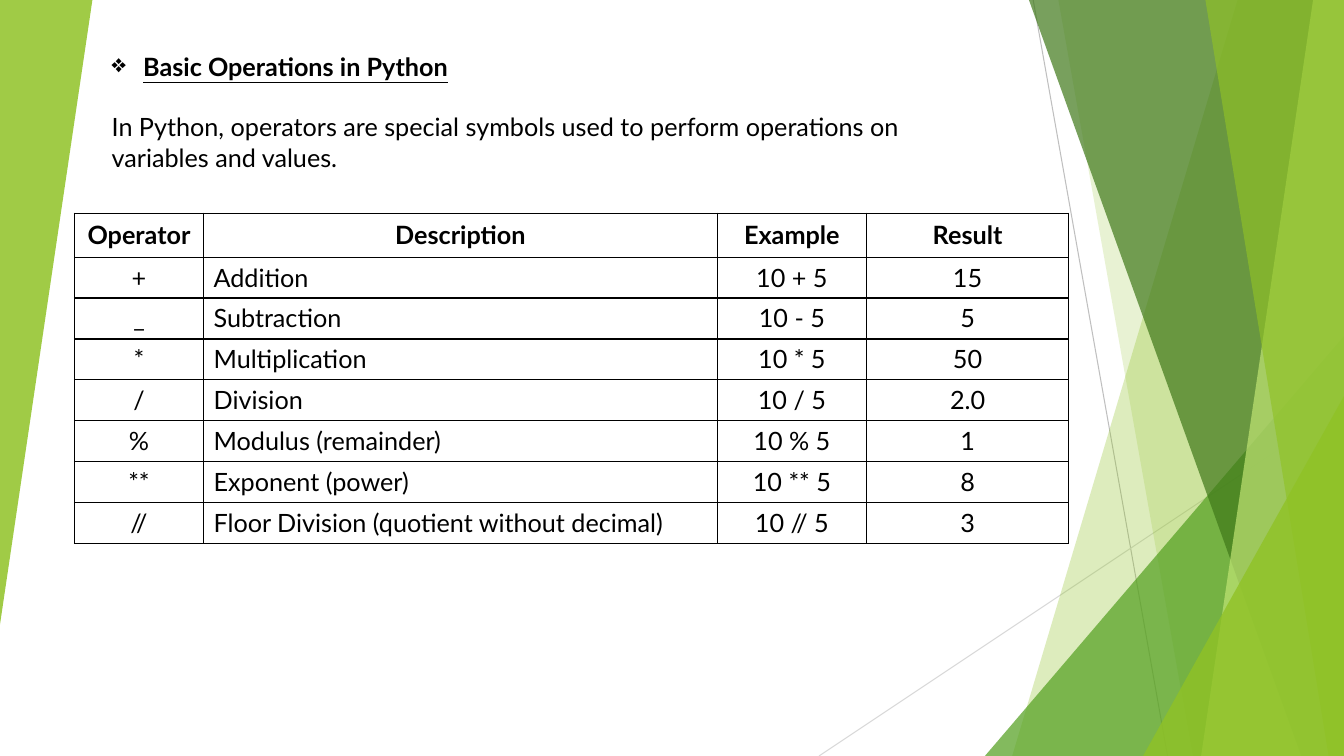
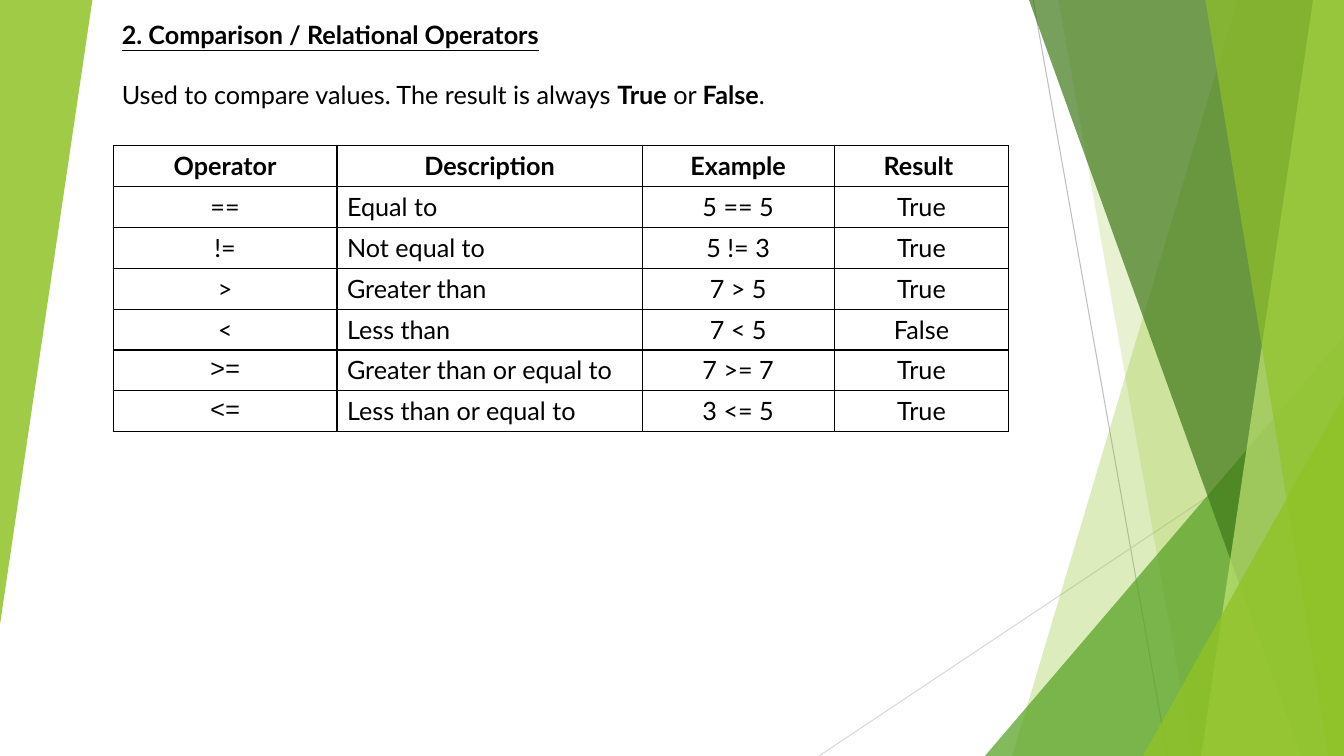
from dataclasses import dataclass

from lxml.etree import SubElement
from pptx import Presentation
from pptx.dml.color import RGBColor
from pptx.enum.shapes import MSO_CONNECTOR, MSO_SHAPE
from pptx.enum.text import MSO_ANCHOR, PP_ALIGN
from pptx.oxml.ns import qn
from pptx.util import Pt


@dataclass(frozen=True)
class Theme:
    wide: float = 960
    high: float = 540
    ink: str = "000000"
    paper: str = "FFFFFF"
    lime: str = "90C226"
    green: str = "54A021"
    forest: str = "3F7819"
    pale: str = "C0E474"
    grey: str = "BFBFBF"
    light: str = "D9D9D9"
    font: str = "Lato"
    mono: str = "Courier New"
    size: float = 18
    gap: float = 21.6
    indent: float = 22.5
    row: float = 29.2
    rule: float = 1
    hair: float = 0.75


class Deck:
    """Holds the theme and the slide being built."""

    def __init__(self, theme):
        self.theme = theme
        self.file = Presentation()
        self.file.slide_width = Pt(theme.wide)
        self.file.slide_height = Pt(theme.high)
        self.slide = None

    def new(self):
        self.slide = self.file.slides.add_slide(self.file.slide_layouts[6])
        self.facets()

    def line(self, start, end, color):
        line = self.slide.shapes.add_connector(
            MSO_CONNECTOR.STRAIGHT, *map(Pt, start + end))
        line.line.color.rgb = RGBColor.from_string(color)
        line.line.width = Pt(self.theme.hair)
        SubElement(line._element.spPr, qn("a:effectLst"))

    def paint(self, shape, color, alpha):
        """Fill with a colour at alpha percent, without outline or shadow."""
        shape.shadow.inherit = False
        shape.line.fill.background()
        shape.fill.solid()
        shape.fill.fore_color.rgb = RGBColor.from_string(color)
        tone = shape._element.spPr.find(qn("a:solidFill"))[0]
        SubElement(tone, qn("a:alpha")).set("val", str(alpha * 1000))

    def blade(self, top, foot, color, alpha):
        """Panel from a slanted left edge to the right side of the slide."""
        wide, high = self.theme.wide, self.theme.high
        form = self.slide.shapes.build_freeform(Pt(top), 0)
        form.add_line_segments(
            [(Pt(x), Pt(y)) for x, y in ((wide, 0), (wide, high), (foot, high))])
        self.paint(form.convert_to_shape(), color, alpha)

    def wedge(self, box, color, alpha, turn=0):
        """Right-angled triangle with its apex at the right."""
        shape = self.slide.shapes.add_shape(
            MSO_SHAPE.ISOSCELES_TRIANGLE, *map(Pt, box))
        shape.adjustments[0] = 1
        shape.rotation = turn
        self.paint(shape, color, alpha)

    def facets(self):
        """Backdrop that every slide shares."""
        look = self.theme
        self.line((738, 0), (834, look.high), look.grey)
        self.line((look.wide, 290), (585, look.high), look.light)
        self.blade(884, 723, look.lime, 30)
        self.blade(756, 852, look.lime, 20)
        self.wedge((703.5, 240, 256.5, 300), look.green, 72)
        self.blade(735, 929.5, look.forest, 70)
        self.blade(938, 858, look.pale, 70)
        self.blade(861, 949, look.lime, 65)
        self.wedge((816.5, 283, 143.5, 257), look.lime, 80)
        self.wedge((0, 0, 66, 446), look.lime, 85, turn=180)

    def run(self, para, text, bold=False, under=False, font=None):
        run = para.add_run()
        run.text = text
        face = run.font
        face.name = font or self.theme.font
        face.size = Pt(self.theme.size)
        face.bold = bold
        face.underline = under
        face.color.rgb = RGBColor.from_string(self.theme.ink)

    def bullet(self, para):
        props = para._p.get_or_add_pPr()
        step = Pt(self.theme.indent)
        props.set("marL", str(step))
        props.set("indent", str(-step))
        SubElement(props, qn("a:buChar")).set("char", "❖")

    def intro(self, box, title, parts, mark=False):
        """Underlined title above a paragraph of (text, bold) parts."""
        frame = self.slide.shapes.add_textbox(*map(Pt, box)).text_frame
        frame.word_wrap = True
        head = frame.paragraphs[0]
        if mark:
            self.bullet(head)
        self.run(head, title, bold=True, under=True)
        body = frame.add_paragraph()
        body.space_before = Pt(self.theme.gap)
        for text, bold in parts:
            self.run(body, text, bold)

    def edge(self, cell):
        props = cell._tc.get_or_add_tcPr()
        for side in ("lnL", "lnR", "lnT", "lnB"):
            line = SubElement(props, qn(f"a:{side}"))
            line.set("w", str(Pt(self.theme.rule)))
            fill = SubElement(line, qn("a:solidFill"))
            SubElement(fill, qn("a:srgbClr")).set("val", self.theme.ink)

    def cell(self, cell, text, head, left, font):
        self.edge(cell)
        cell.fill.solid()
        cell.fill.fore_color.rgb = RGBColor.from_string(self.theme.paper)
        if head or font:
            cell.vertical_anchor = MSO_ANCHOR.MIDDLE
        para = cell.text_frame.paragraphs[0]
        para.alignment = PP_ALIGN.LEFT if left else PP_ALIGN.CENTER
        self.run(para, text, bold=head, font=font)

    def table(self, spot, widths, rows, top=None, mono=()):
        """Grid with a header row of height top; mono lists operators set in mono."""
        step = self.theme.row
        top = top or step
        high = top + step * (len(rows) - 1)
        grid = self.slide.shapes.add_table(
            len(rows), len(widths), *map(Pt, spot + (sum(widths), high))).table
        grid.horz_banding = False
        for col, width in zip(grid.columns, widths):
            col.width = Pt(width)
        for i, row in enumerate(rows):
            grid.rows[i].height = Pt(step if i else top)
            for j, text in enumerate(row):
                font = self.theme.mono if text in mono else None
                self.cell(grid.cell(i, j), text, i == 0, i > 0 and j == 1, font)


def main():
    deck = Deck(Theme())

    deck.new()
    deck.intro(
        (72.7, 33, 637, 94.5), "Basic Operations in Python",
        [("In Python, operators are special symbols used to perform "
          "operations on variables and values.", False)],
        mark=True)
    deck.table((53.2, 152.3), (92.2, 367, 106.6, 144.4), [
        ("Operator", "Description", "Example", "Result"),
        ("+", "Addition", "10 + 5", "15"),
        ("_", "Subtraction", "10 - 5", "5"),
        ("*", "Multiplication", "10 * 5", "50"),
        ("/", "Division", "10 / 5", "2.0"),
        ("%", "Modulus (remainder)", "10 % 5", "1"),
        ("**", "Exponent (power)", "10 ** 5", "8"),
        ("//", "Floor Division (quotient without decimal)", "10 // 5", "3"),
    ], top=31.4)

    deck.new()
    deck.table((80.9, 104), (159.8, 218, 137.2, 124.8), [
        ("Operator", "Description", "Example", "Result "),
        ("==", "Equal to", "5 == 5", "True"),
        ("!=", "Not equal to", "5 != 3", "True"),
        (">", "Greater than", "7 > 5", "True"),
        ("<", "Less than", "7 < 5", "False"),
        (">=", "Greater than or equal to", "7 >= 7", "True"),
        ("<=", "Less than or equal to", "3 <= 5", "True"),
    ], mono=(">=", "<="))
    deck.intro(
        (79.9, 10, 640, 72.7), "2. Comparison / Relational Operators",
        [("Used to compare values. The result is always ", False),
         ("True", True), (" or ", False), ("False", True), (".", False)])

    deck.file.save("out.pptx")


if __name__ == "__main__":
    main()
